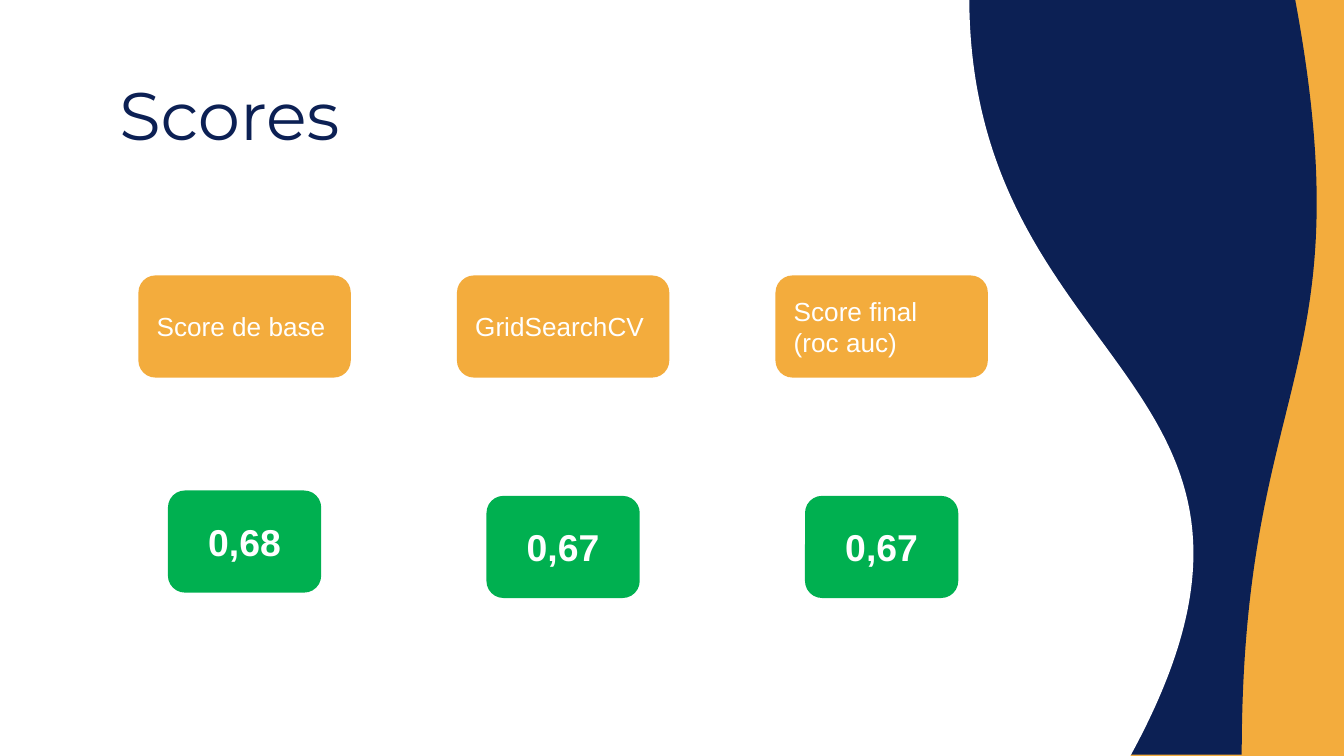
from pptx import Presentation
from pptx.dml.color import RGBColor
from pptx.enum.shapes import MSO_SHAPE
from pptx.enum.text import MSO_ANCHOR, PP_ALIGN
from pptx.util import Inches, Pt

NAVY, ORANGE, GREEN, WHITE = "0C2054", "F3AC3D", "00B050", "FFFFFF"


def paint(fill, color):
    fill.solid()
    fill.fore_color.rgb = RGBColor.from_string(color)


def write(shape, text, size, color=WHITE, font="Arial", bold=False, align=PP_ALIGN.LEFT):
    frame = shape.text_frame
    frame.word_wrap = True
    frame.vertical_anchor = MSO_ANCHOR.MIDDLE
    frame.margin_left = frame.margin_right = Inches(0.1)
    frame.margin_top = frame.margin_bottom = Inches(0.1)
    paragraph = frame.paragraphs[0]
    paragraph.alignment = align
    run = paragraph.add_run()
    run.text = text
    run.font.name = font
    run.font.size = Pt(size)
    run.font.bold = bold
    paint(run.font.fill, color)


prs = Presentation()
prs.slide_width = Inches(10)
prs.slide_height = Inches(10 * 9 / 16)
slide = prs.slides.add_slide(prs.slide_layouts[6])
paint(slide.background.fill, ORANGE)

waves = [
    (5.52, 1.3, 5.62, 3.01, NAVY, "1"),
    (1.66, -1.69, 5.67, 9, WHITE, "0"),
]
for left, top, width, height, color, flip in waves:
    wave = slide.shapes.add_shape(
        MSO_SHAPE.FLOWCHART_DOCUMENT, Inches(left), Inches(top), Inches(width), Inches(height)
    )
    wave.rotation = 270
    wave.element.spPr.get_or_add_xfrm().set("flipH", flip)
    wave.shadow.inherit = False
    wave.line.fill.background()
    paint(wave.fill, color)

title = slide.shapes.add_textbox(Inches(0.79), Inches(0.58), Inches(6.67), Inches(0.53))
write(title, "Scores", 36, color=NAVY, font="Montserrat")

scores = [
    ("Score de base", "0,68", 3.65),
    ("GridSearchCV", "0,67", 3.69),
    ("Score final (roc auc)", "0,67", 3.69),
]
for column, (label, value, value_top) in enumerate(scores):
    left = 1.03 + 2.37 * column
    cards = [
        (label, left, 2.05, 1.58, ORANGE, {"size": 14}),
        (value, left + 0.22, value_top, 1.14, GREEN,
         {"size": 20, "bold": True, "align": PP_ALIGN.CENTER}),
    ]
    for text, card_left, top, width, color, style in cards:
        card = slide.shapes.add_shape(
            MSO_SHAPE.ROUNDED_RECTANGLE, Inches(card_left), Inches(top), Inches(width), Inches(0.76)
        )
        card.shadow.inherit = False
        card.line.fill.background()
        paint(card.fill, color)
        write(card, text, **style)

prs.save("out.pptx")
